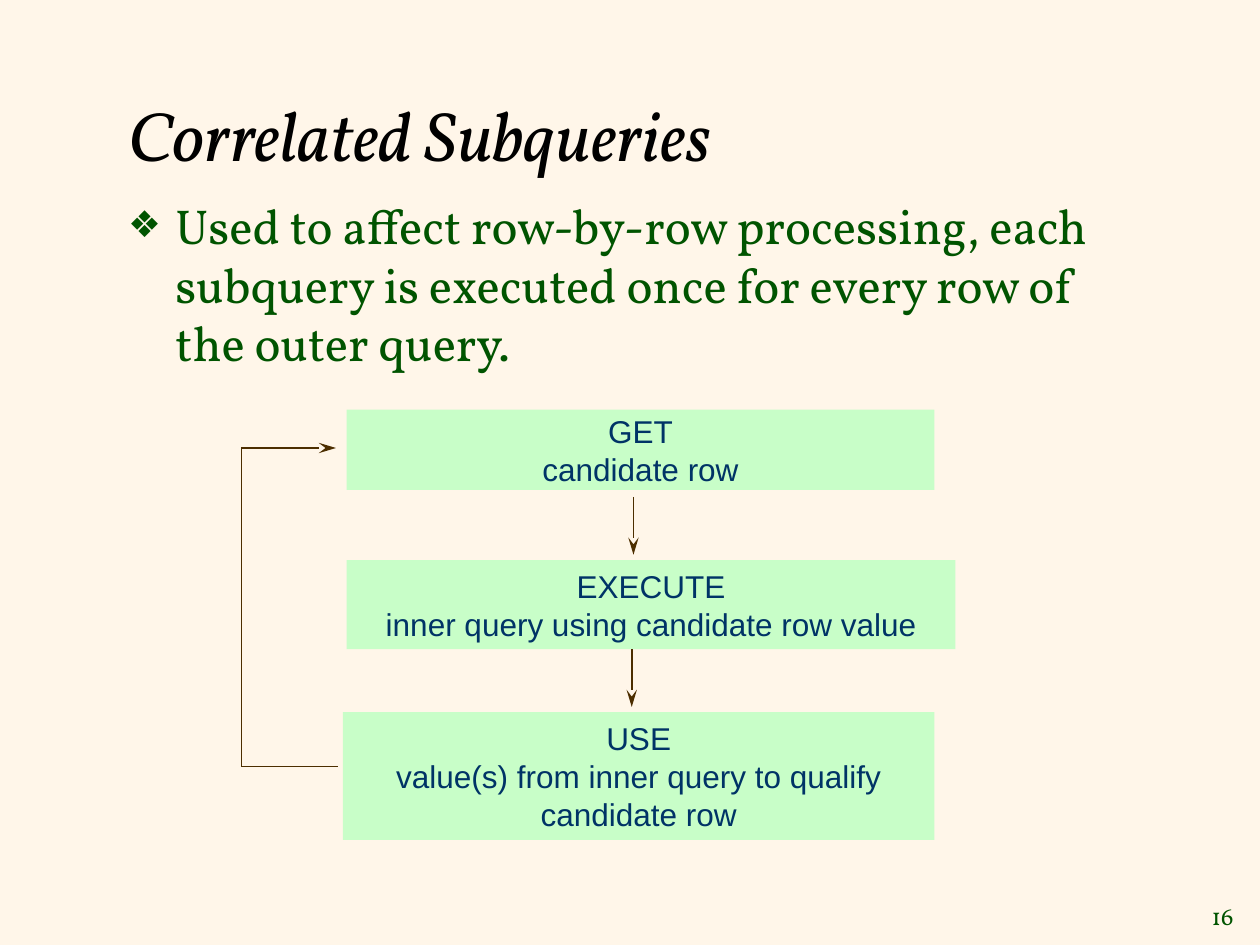
import pptx
import pptx.util
import pptx.dml.color
import pptx.enum.shapes
import pptx.enum.text
import pptx.oxml
import pptx.oxml.ns
import lxml.etree

Pt = pptx.util.Pt
RGB = pptx.dml.color.RGBColor
ALIGN = pptx.enum.text.PP_ALIGN
ANCHOR = pptx.enum.text.MSO_ANCHOR
CREAM = RGB(0xFF, 0xF6, 0xE9)
BLACK = RGB(0, 0, 0)
GREEN = RGB(0, 0x54, 0)
MINT = RGB(0xC8, 0xFE, 0xC8)
NAVY = RGB(0, 0x33, 0x66)
BROWN = RGB(0x4C, 0x2E, 0)
qn = pptx.oxml.ns.qn


def write(shape, lines, size, face, color, align, anchor, italic=False):
    """Fill a shape with paragraphs in one format."""
    frame = shape.text_frame
    frame.text = "\n".join(lines)
    look = {"word_wrap": True, "vertical_anchor": anchor,
            "auto_size": pptx.enum.text.MSO_AUTO_SIZE.NONE,
            "margin_left": Pt(7.2), "margin_right": Pt(7.2),
            "margin_top": Pt(3.6), "margin_bottom": Pt(3.6)}
    for key, val in look.items():
        setattr(frame, key, val)
    form = {"size": Pt(size), "name": face, "italic": italic, "bold": False}
    for para in frame.paragraphs:
        para.alignment = align
        para.space_before = Pt(0)
        for run in para.runs:
            for key, val in form.items():
                setattr(run.font, key, val)
            run.font.color.rgb = color


def place(shape, left, top, width, height):
    """Move a shape, in points."""
    spot = {"left": left, "top": top, "width": width, "height": height}
    for key, val in spot.items():
        setattr(shape, key, Pt(val))


# Slide and background
deck = pptx.Presentation()
deck.slide_width, deck.slide_height = Pt(720), Pt(540)
slide = deck.slides.add_slide(deck.slide_layouts[1])
slide.background.fill.solid()
slide.background.fill.fore_color.rgb = CREAM

# Title
title = slide.shapes.title
place(title, 66, 33, 612, 87)
write(title, ["Correlated Subqueries"], 40, "Vollkorn", BLACK,
      ALIGN.LEFT, ANCHOR.MIDDLE, True)

# Bullet list
body = slide.placeholders[1]
place(body, 66, 108, 582, 103)
write(body, ["Used to affect row-by-row processing, each subquery is "
             "executed once for every row of the outer query."],
      28, "Vollkorn", GREEN, ALIGN.LEFT, ANCHOR.TOP)
props = body.text_frame.paragraphs[0]._p.get_or_add_pPr()
props.set("marL", str(Pt(27)))
props.set("indent", str(-Pt(27)))
tint = lxml.etree.SubElement(props, qn("a:buClr"))
lxml.etree.SubElement(tint, qn("a:srgbClr"), val=str(GREEN))
lxml.etree.SubElement(props, qn("a:buSzPct"), val="75000")
lxml.etree.SubElement(props, qn("a:buChar"), char="❖")

# Steps: left, top, width, height, lines
steps = [
    (198, 234, 336, 46, ["GET", "candidate row"]),
    (198, 320, 348, 51, ["EXECUTE", "inner query using candidate row value"]),
    (196, 407, 338, 73,
     ["USE", "value(s) from inner query to qualify candidate row"]),
]
for left, top, width, height, lines in steps:
    box = slide.shapes.add_shape(
        pptx.enum.shapes.MSO_SHAPE.RECTANGLE,
        Pt(left), Pt(top), Pt(width), Pt(height))
    box.shadow.inherit = False
    box.fill.solid()
    box.fill.fore_color.rgb = MINT
    box.line.fill.background()
    write(box, lines, 18, "Arial", NAVY, ALIGN.CENTER, ANCHOR.MIDDLE)

# Arrows between steps and the loop back: start, end, arrowhead
links = [
    (362, 284, 362, 317, True),
    (361, 371, 361, 404, True),
    (193, 438, 138, 438, False),
    (138, 438, 138, 256, False),
    (138, 256, 192, 256, True),
]
for x1, y1, x2, y2, head in links:
    link = slide.shapes.add_connector(
        pptx.enum.shapes.MSO_CONNECTOR.STRAIGHT,
        Pt(x1), Pt(y1), Pt(x2), Pt(y2))
    link.line.color.rgb = BROWN
    link.line.width = Pt(1)
    if head:
        lxml.etree.SubElement(link.line._get_or_add_ln(), qn("a:tailEnd"),
                              type="stealth", w="med", len="lg")
    lxml.etree.SubElement(link._element.spPr, qn("a:effectLst"))

# Slide number
page = slide.shapes.add_textbox(Pt(680), Pt(511), Pt(32), Pt(24))
write(page, ["16"], 14, "Vollkorn", GREEN, ALIGN.RIGHT, ANCHOR.MIDDLE)

deck.save("out.pptx")
